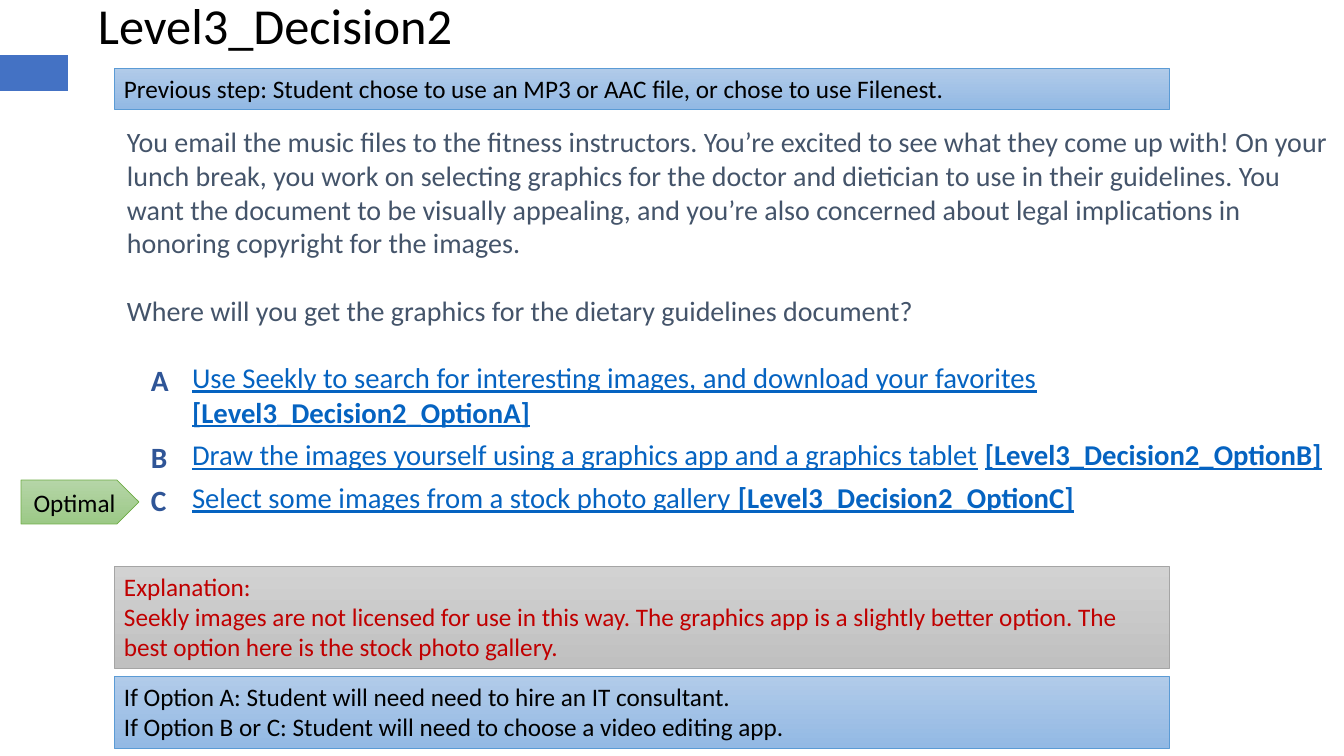
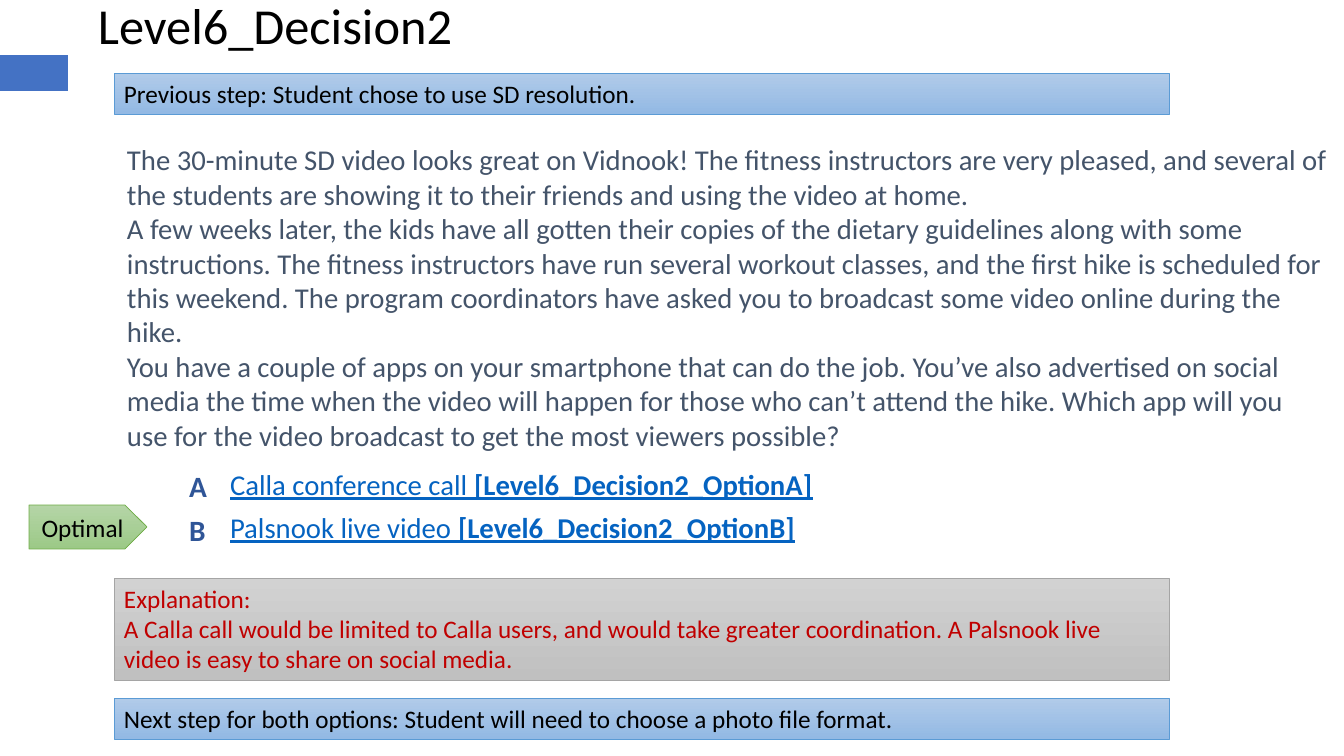
from pptx import Presentation
from pptx.dml.color import RGBColor
from pptx.enum.shapes import MSO_SHAPE as Preset
from pptx.enum.text import MSO_ANCHOR as Anchor, PP_ALIGN as Align
from pptx.util import Emu, Pt

EMU_PER_PX = 12192000 / 1344
FONT = "Calibri"
COLORS = {
    "marker": "4472C4",
    "title": "000000",
    "body": "44546A",
    "link": "0563C1",
    "letter": "2F5597",
    "warning": "C00000",
}
PANELS = {
    "step": ("B1CBE9", "93B9E4", "5B9BD5"),
    "explanation": ("D2D2D2", "C0C0C0", "A5A5A5"),
    "optimal": ("B5D5A7", "9CC987", "70AD47"),
}
BOX_INSETS = (13, 7)
PANEL_INSETS = (10, 5)
CONTENT_LEFT = 114
PANEL_WIDTH = 1055
PANEL_HEIGHTS = {1: 41, 2: 72, 3: 102}

DECISIONS = [
    {
        "title": "Level3_Decision2",
        "previous": (68, "Previous step: Student chose to use an MP3 or AAC file, or chose to use Filenest."),
        "story": (118, 241, 20, 24.4, [
            "You email the music files to the fitness instructors. You’re excited to see what they come up with! "
            "On your lunch break, you work on selecting graphics for the doctor and dietician to use in their "
            "guidelines. You want the document to be visually appealing, and you’re also concerned about legal "
            "implications in honoring copyright for the images.",
            "Where will you get the graphics for the dietary guidelines document?",
        ]),
        "options_box": (179, 353, 1164, 191),
        "options": [
            (355, ["Use Seekly to search for interesting images, and download your favorites "]),
            (432, ["Draw the images yourself using a graphics app and a graphics tablet", " "]),
            (475, ["Select some images from a stock photo gallery "]),
        ],
        "optimal": (21, 480),
        "explanation": (566, "Seekly images are not licensed for use in this way. The graphics app is a slightly "
                             "better option. The best option here is the stock photo gallery."),
        "next": (676, ["If Option A: Student will need need to hire an IT consultant.",
                       "If Option B or C: Student will need to choose a video editing app."]),
    },
    {
        "title": "Level6_Decision2",
        "previous": (73, "Previous step: Student chose to use SD resolution."),
        "story": (135, 340, 20.5, 0, [
            "The 30-minute SD video looks great on Vidnook! The fitness instructors are very pleased, and several "
            "of the students are showing it to their friends and using the video at home.",
            "A few weeks later, the kids have all gotten their copies of the dietary guidelines along with some "
            "instructions. The fitness instructors have run several workout classes, and the first hike is "
            "scheduled for this weekend. The program coordinators have asked you to broadcast some video online "
            "during the hike.",
            "You have a couple of apps on your smartphone that can do the job. You’ve also advertised on social "
            "media the time when the video will happen for those who can’t attend the hike. Which app will you "
            "use for the video broadcast to get the most viewers possible?",
        ]),
        "options_box": (217, 460, 628, 119),
        "options": [
            (461, ["Calla conference call "]),
            (505, ["Palsnook live video "]),
        ],
        "optimal": (29, 505),
        "explanation": (578, "A Calla call would be limited to Calla users, and would take greater coordination. "
                             "A Palsnook live video is easy to share on social media."),
        "next": (698, ["Next step for both options: Student will need to choose a photo file format."]),
    },
]


def px(length):
    return Emu(round(length * EMU_PER_PX))


def rgb(color):
    return RGBColor.from_string(color)


def write_text(shape, paragraphs, size=18, color=COLORS["title"], bold=False, insets=PANEL_INSETS,
               anchor=Anchor.TOP, align=Align.LEFT, line_spacing=None, gap_before=0, gap_after=0):
    frame = shape.text_frame
    frame.word_wrap = True
    frame.vertical_anchor = anchor
    frame.margin_left = frame.margin_right = px(insets[0])
    frame.margin_top = frame.margin_bottom = px(insets[1])
    for index, content in enumerate(paragraphs):
        paragraph = frame.add_paragraph() if index else frame.paragraphs[0]
        paragraph.alignment = align
        paragraph.line_spacing = line_spacing
        paragraph.space_before = Pt(gap_before if index else 0)
        paragraph.space_after = Pt(gap_after)
        runs = [(content, {})] if isinstance(content, str) else content
        for text, changes in runs:
            run = paragraph.add_run()
            run.text = text
            run.font.name = FONT
            run.font.size = Pt(size)
            run.font.bold = changes.get("bold", bold)
            run.font.underline = changes.get("underline", False)
            run.font.color.rgb = rgb(changes.get("color", color))


def add_box(slide, bounds, paragraphs, **text_format):
    shape = slide.shapes.add_textbox(*map(px, bounds))
    write_text(shape, paragraphs, **text_format)


def add_marker(slide):
    shape = slide.shapes.add_shape(Preset.RECTANGLE, *map(px, (0, 55, 68, 36)))
    shape.shadow.inherit = False
    shape.fill.solid()
    shape.fill.fore_color.rgb = rgb(COLORS["marker"])
    shape.line.fill.background()


def add_panel(slide, preset, bounds, style, paragraphs, **text_format):
    top_color, bottom_color, line_color = PANELS[style]
    shape = slide.shapes.add_shape(preset, *map(px, bounds))
    shape.shadow.inherit = False
    shape.fill.gradient()
    shape.fill.gradient_angle = 270
    for stop, color in zip(shape.fill.gradient_stops, (top_color, bottom_color)):
        stop.color.rgb = rgb(color)
    shape.line.color.rgb = rgb(line_color)
    shape.line.width = Pt(0.5)
    write_text(shape, paragraphs, **text_format)


def add_bar(slide, top, style, paragraphs, lines, **text_format):
    bounds = (CONTENT_LEFT, top, PANEL_WIDTH, PANEL_HEIGHTS[lines])
    add_panel(slide, Preset.RECTANGLE, bounds, style, paragraphs, **text_format)


def option_runs(texts, target):
    runs = [(text, {"underline": not text.isspace()}) for text in texts]
    return runs + [(target, {"bold": True, "underline": True})]


def add_options(slide, title, bounds, options):
    paragraphs = []
    for letter, (top, texts) in zip("ABC", options):
        paragraphs.append(option_runs(texts, f"[{title}_Option{letter}]"))
        add_box(slide, (bounds[0] - 41, top, 71, 44), [letter], size=21, color=COLORS["letter"],
                bold=True, insets=BOX_INSETS)
    add_box(slide, bounds, paragraphs, size=20.5, color=COLORS["link"], insets=BOX_INSETS, gap_after=6)


def add_decision(presentation, decision):
    slide = presentation.slides.add_slide(presentation.slide_layouts[6])
    add_marker(slide)
    add_box(slide, (88, 1, 1148, 55), [decision["title"]], size=36, anchor=Anchor.MIDDLE, line_spacing=0.9)

    top, height, size, gap, paragraphs = decision["story"]
    add_box(slide, (CONTENT_LEFT, top, 1230, height), paragraphs, size=size, color=COLORS["body"],
            insets=BOX_INSETS, gap_before=gap)
    add_options(slide, decision["title"], decision["options_box"], decision["options"])

    top, text = decision["previous"]
    add_bar(slide, top, "step", [text], 1)
    top, paragraphs = decision["next"]
    add_bar(slide, top, "step", paragraphs, len(paragraphs))
    top, text = decision["explanation"]
    add_bar(slide, top, "explanation", ["Explanation:", text], 3, color=COLORS["warning"])
    add_panel(slide, Preset.PENTAGON, (*decision["optimal"], 118, 44), "optimal", ["Optimal"],
              anchor=Anchor.MIDDLE, align=Align.CENTER)


def main():
    presentation = Presentation()
    presentation.slide_width = px(1344)
    presentation.slide_height = px(756)
    for decision in DECISIONS:
        add_decision(presentation, decision)
    presentation.save("out.pptx")


if __name__ == "__main__":
    main()
